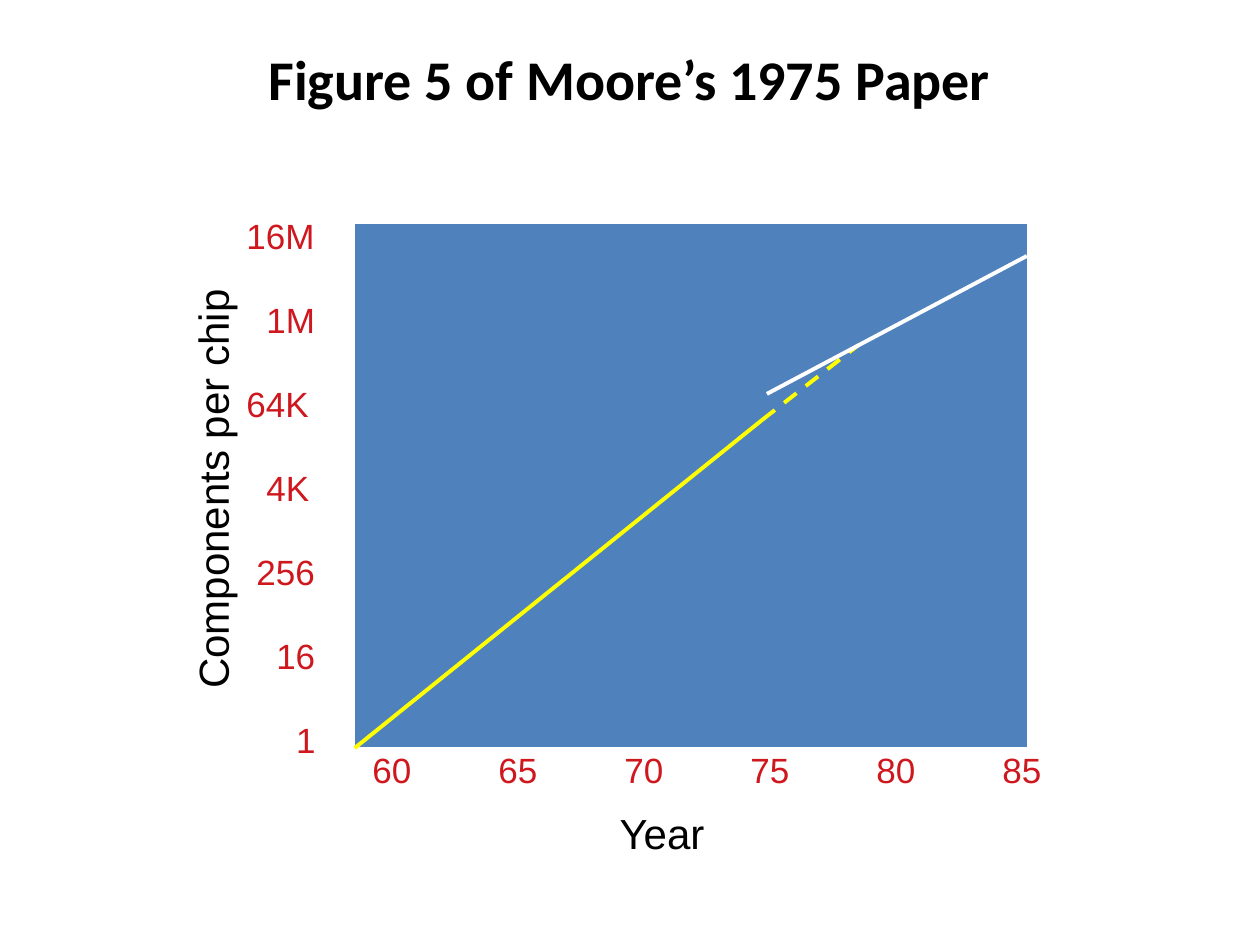
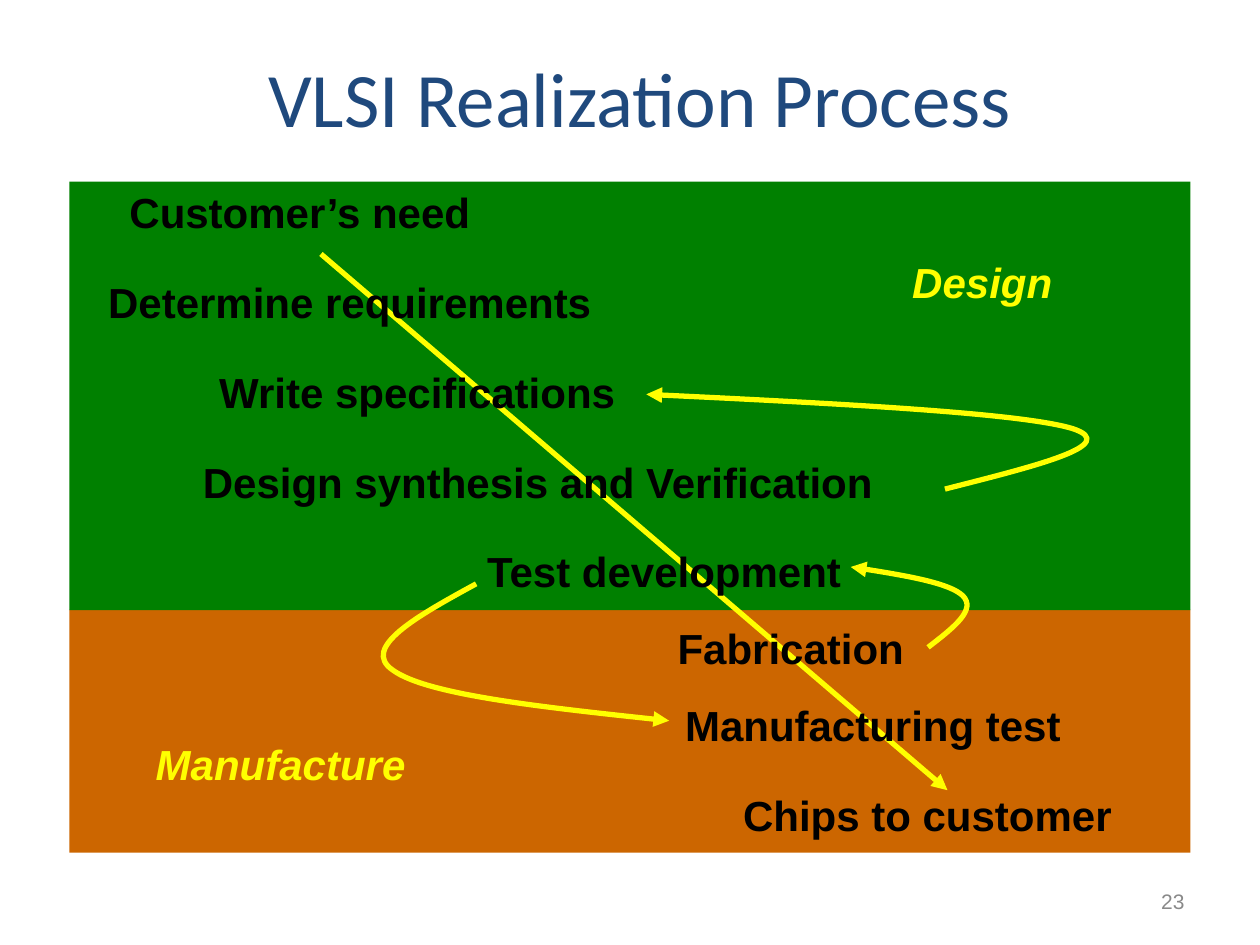
import dataclasses

import pptx
import pptx.dml.color
import pptx.enum.dml
import pptx.enum.shapes
import pptx.enum.text
import pptx.oxml
import pptx.oxml.ns
import pptx.util
from pptx.util import Cm

ALIGN = pptx.enum.text.PP_ALIGN
ANCHOR = pptx.enum.text.MSO_ANCHOR


@dataclasses.dataclass(frozen=True)
class Theme:
    body_font: str = "Arial"
    title_font: str = "Calibri"
    black: str = "000000"
    white: str = "FFFFFF"
    navy: str = "1F497D"
    plot_blue: str = "4F81BD"
    axis_red: str = "CE181E"
    yellow: str = "FFFF00"
    design_green: str = "008000"
    manufacture_orange: str = "CC6600"
    gray: str = "898989"
    title_size: int = 44
    small_title_size: int = 32
    body_size: int = 24
    axis_size: int = 20
    number_size: int = 12
    curve_width: float = 2.25
    arrow_width: float = 3


def rgb(color):
    return pptx.dml.color.RGBColor.from_string(color)


def add_element(parent, tag, **attributes):
    element = pptx.oxml.ns.qn(tag)
    child = parent.makeelement(element, attributes)
    parent.append(child)
    return child


class Deck:
    def __init__(self, theme):
        self.theme = theme
        self.presentation = pptx.Presentation()
        self.presentation.slide_width = Cm(25.4)
        self.presentation.slide_height = Cm(19.05)
        self.slide = None

    def new_slide(self):
        self.slide = self.presentation.slides.add_slide(self.presentation.slide_layouts[6])

    def text(self, lines, left, top, width, height=1.27, size=None, color=None, font=None,
             bold=False, italic=False, align=ALIGN.LEFT, anchor=ANCHOR.TOP, wrap=False):
        box = self.slide.shapes.add_textbox(Cm(left), Cm(top), Cm(width), Cm(height))
        frame = box.text_frame
        frame.word_wrap = wrap
        frame.vertical_anchor = anchor
        frame.text = lines
        for paragraph in frame.paragraphs:
            paragraph.alignment = align
            for run in paragraph.runs:
                run.font.name = font or self.theme.body_font
                run.font.size = pptx.util.Pt(size or self.theme.body_size)
                run.font.color.rgb = rgb(color or self.theme.black)
                run.font.bold = bold
                run.font.italic = italic
        return box

    def title(self, words, left, top, size, color, bold=False):
        self.text(words, left, top, 22.75, 3.16, size, color, self.theme.title_font, bold,
                  align=ALIGN.CENTER, wrap=True)

    def rectangle(self, left, top, width, height, fill, outline=None):
        shape = self.slide.shapes.add_shape(
            pptx.enum.shapes.MSO_SHAPE.RECTANGLE, Cm(left), Cm(top), Cm(width), Cm(height))
        shape.shadow.inherit = False
        shape.fill.solid()
        shape.fill.fore_color.rgb = rgb(fill)
        if outline:
            shape.line.color.rgb = rgb(outline)
            shape.line.width = pptx.util.Pt(0.75)
        else:
            shape.line.fill.background()

    def stroke(self, shape, color, width, arrow):
        shape.line.color.rgb = rgb(color)
        shape.line.width = pptx.util.Pt(width)
        if arrow:
            add_element(shape.line._get_or_add_ln(), "a:tailEnd", type="triangle")

    def line(self, start, end, color, width, arrow=False, dashed=False):
        connector = self.slide.shapes.add_connector(
            pptx.enum.shapes.MSO_CONNECTOR.STRAIGHT, *map(Cm, start + end))
        self.stroke(connector, color, width, arrow)
        if dashed:
            connector.line.dash_style = pptx.enum.dml.MSO_LINE.DASH
        add_element(connector._element.spPr, "a:effectLst")

    def curved_arrow(self, points):
        start, *controls = [(Cm(x), Cm(y)) for x, y in points]
        builder = self.slide.shapes.build_freeform(*start)
        builder.add_line_segments(controls, close=False)
        shape = builder.convert_to_shape()
        shape.shadow.inherit = False
        shape.fill.background()
        self.stroke(shape, self.theme.yellow, self.theme.arrow_width, True)
        path = shape._element.find(".//" + pptx.oxml.ns.qn("a:path"))
        segments = path.findall(pptx.oxml.ns.qn("a:lnTo"))
        for first in range(0, len(segments), 3):
            bezier = add_element(path, "a:cubicBezTo")
            for segment in segments[first:first + 3]:
                bezier.append(segment[0])
                path.remove(segment)


def build_moore_slide(deck):
    theme = deck.theme
    deck.new_slide()
    deck.title("Figure 5 of Moore’s 1975 Paper", 1.32, 0.78, theme.small_title_size,
               theme.black, bold=True)
    deck.rectangle(7.15, 4.51, 13.56, 10.57, theme.plot_blue, theme.white)

    components = {"16M": 0, "1M": 2, "64K": 0, "4K": 2, "256": 1, "16": 3, "1": 5}
    axis = deck.text("\n".join(components), 4.72, 4.19, 2.26, 11.28, theme.axis_size,
                     theme.axis_red, wrap=True)
    for index, (paragraph, steps) in enumerate(zip(axis.text_frame.paragraphs, components.values())):
        properties = paragraph._p.get_or_add_pPr()
        properties.set("marL", str(Cm(0.2 * steps)))
        if index:
            paragraph.space_before = pptx.util.Pt(24)

    years = deck.text("\t".join(str(year) for year in range(60, 86, 5)), 7.26, 14.96, 14, 1.12,
                      theme.axis_size, theme.axis_red)
    tabs = add_element(years.text_frame.paragraphs[0]._p.get_or_add_pPr(), "a:tabLst")
    for stop in range(1, 6):
        add_element(tabs, "a:tab", pos=str(Cm(2.54 * stop)), algn="l")

    bend = (15.37, 8.46)
    deck.line((7.15, 15.08), bend, theme.yellow, theme.curve_width)
    deck.line(bend, (17.3, 6.96), theme.yellow, theme.curve_width, dashed=True)
    deck.line((15.46, 7.94), (20.7, 5.16), theme.white, theme.curve_width)
    deck.text("Year", 12.24, 16.15, 2.29)
    deck.text("Components per chip", 0, 9.22, 8.56).rotation = 270


def build_process_slide(deck):
    theme = deck.theme
    deck.new_slide()
    deck.text("23", 18.21, 17.65, 5.92, 1.02, theme.number_size, theme.gray,
              align=ALIGN.RIGHT, anchor=ANCHOR.MIDDLE, wrap=True)
    deck.rectangle(1.4, 12.29, 22.6, 4.9, theme.manufacture_orange)
    deck.rectangle(1.4, 3.66, 22.6, 8.64, theme.design_green)
    deck.line((6.47, 5.12), (19.1, 15.93), theme.yellow, theme.arrow_width, arrow=True)
    deck.title("VLSI Realization Process", 1.53, 0.89, theme.title_size, theme.navy)

    process_steps = [
        ("Customer’s need", 2.36, 3.63, 7.37),
        ("Determine requirements", 1.93, 5.44, 10.24),
        ("Write specifications", 4.17, 7.26, 8.51),
        ("Design synthesis and Verification", 3.84, 9.07, 14.05),
        ("Test development", 9.57, 10.87, 7.7),
        ("Fabrication", 13.41, 12.42, 5.77),
        ("Manufacturing test", 13.56, 13.97, 8.08),
        ("Chips to customer", 14.73, 15.8, 8.4),
    ]
    for step in process_steps:
        deck.text(*step, bold=True, wrap=step[0] == "Chips to customer")

    phases = [("Design", 18.14, 5.05, 3.33), ("Manufacture", 2.89, 14.76, 5.54)]
    for phase in phases:
        deck.text(*phase, color=theme.yellow, bold=True, italic=True)

    feedback_curves = [
        [(19.05, 9.86), (20.85, 9.4), (22.63, 8.97), (21.62, 8.64),
         (20.6, 8.33), (16.81, 8.13), (13.03, 7.95)],
        [(9.6, 11.77), (8.41, 12.42), (7.26, 13.06), (7.92, 13.51),
         (8.59, 14), (11.05, 14.27), (13.49, 14.53)],
        [(18.71, 13.05), (19.23, 12.65), (19.69, 12.29), (19.41, 12.01),
         (19.15, 11.76), (18.14, 11.58), (17.15, 11.43)],
    ]
    for curve in feedback_curves:
        deck.curved_arrow(curve)


def main():
    deck = Deck(Theme())
    build_moore_slide(deck)
    build_process_slide(deck)
    deck.presentation.save("out.pptx")


if __name__ == "__main__":
    main()
